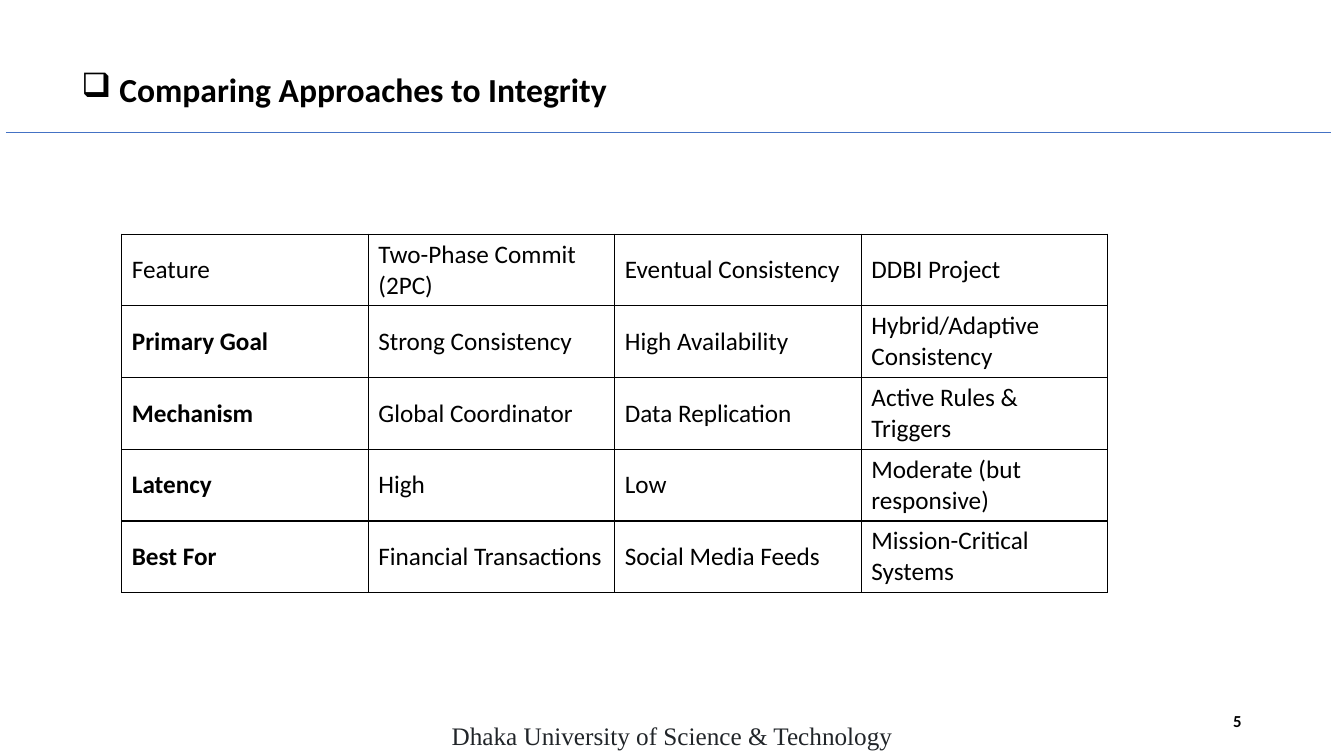
from lxml.etree import SubElement
from pptx import Presentation
from pptx.dml.color import RGBColor
from pptx.enum.shapes import MSO_CONNECTOR
from pptx.enum.text import MSO_ANCHOR, MSO_AUTO_SIZE, PP_ALIGN
from pptx.oxml import parse_xml
from pptx.oxml.ns import nsdecls, qn
from pptx.util import Pt

BLACK = RGBColor(0x00, 0x00, 0x00)
CHARCOAL = RGBColor(0x21, 0x25, 0x29)
BLUE = RGBColor(0x44, 0x72, 0xC4)

COMPARISON = [
    ["Feature", "Two-Phase Commit (2PC)", "Eventual Consistency", "DDBI Project"],
    ["Primary Goal", "Strong Consistency", "High Availability", "Hybrid/Adaptive Consistency"],
    ["Mechanism", "Global Coordinator", "Data Replication", "Active Rules & Triggers"],
    ["Latency", "High", "Low", "Moderate (but responsive)"],
    ["Best For", "Financial Transactions", "Social Media Feeds", "Mission-Critical Systems"],
]


class SlideBuilder:
    """Holds the text style and the current slide; lengths are in points."""

    font_name = "Calibri"
    font_color = BLACK

    def __init__(self, page):
        self.page = page

    def add_span(self, para, text, size, bold=False, color=None, font=None):
        span = para.add_run()
        span.text = text
        span.font.name = font or self.font_name
        span.font.size = Pt(size)
        span.font.bold = bold
        span.font.color.rgb = color or self.font_color
        return span

    def title(self, text, left, top, width, height, bullet, indent):
        box = self.page.shapes.title
        box.left, box.top, box.width, box.height = map(Pt, (left, top, width, height))
        frame = box.text_frame
        frame.word_wrap = True
        frame.auto_size = MSO_AUTO_SIZE.NONE
        frame.vertical_anchor = MSO_ANCHOR.MIDDLE
        para = frame.paragraphs[0]
        properties = para._p.get_or_add_pPr()
        properties.set("marL", str(Pt(indent)))
        properties.set("indent", str(-Pt(indent)))
        SubElement(properties, qn("a:buChar")).set("char", bullet)
        para.alignment = PP_ALIGN.LEFT
        para.line_spacing = 0.9
        self.add_span(para, text, 24, bold=True)

    def text(self, text, left, top, width, height, size, align,
             anchor=MSO_ANCHOR.TOP, spacing=None, **style):
        box = self.page.shapes.add_textbox(*map(Pt, (left, top, width, height)))
        frame = box.text_frame
        frame.word_wrap = True
        frame.vertical_anchor = anchor
        para = frame.paragraphs[0]
        para.alignment = align
        span = self.add_span(para, text, size, **style)
        if spacing:
            span.font._element.set("spc", str(round(spacing * 100)))

    def rule(self, left, right, top, color, weight):
        line = self.page.shapes.add_connector(
            MSO_CONNECTOR.STRAIGHT, Pt(left), Pt(top), Pt(right), Pt(top))
        line.line.color.rgb = color
        line.line.width = Pt(weight)
        SubElement(line._element.spPr, qn("a:effectLst"))

    def table(self, rows, left, top, column_width, row_height, size):
        row_count, column_count = len(rows), len(rows[0])
        table = self.page.shapes.add_table(
            row_count, column_count, Pt(left), Pt(top),
            Pt(column_width * column_count), Pt(row_height * row_count)).table
        table.first_row = table.horz_banding = False
        for column in table.columns:
            column.width = Pt(column_width)
        for row_index, row in enumerate(rows):
            table.rows[row_index].height = Pt(row_height)
            for column_index, text in enumerate(row):
                cell = table.cell(row_index, column_index)
                cell.fill.background()
                cell.vertical_anchor = MSO_ANCHOR.MIDDLE
                self.cell_borders(cell, BLACK, 1)
                self.add_span(cell.text_frame.paragraphs[0], text, size,
                              bold=row_index > 0 and column_index == 0)

    def cell_borders(self, cell, color, weight):
        # Border elements come before the fill
        properties = cell._tc.get_or_add_tcPr()
        for index, side in enumerate(("lnL", "lnR", "lnT", "lnB")):
            properties.insert(index, parse_xml(
                f'<a:{side} {nsdecls("a")} w="{Pt(weight)}"><a:solidFill>'
                f'<a:srgbClr val="{color}"/></a:solidFill></a:{side}>'))


def main():
    deck = Presentation()
    deck.slide_width, deck.slide_height = Pt(960), Pt(540)
    builder = SlideBuilder(deck.slides.add_slide(deck.slide_layouts[5]))

    # Heading and rule
    builder.title("Comparing Approaches to Integrity", 51, 36, 741, 59,
                  bullet="❑", indent=27)
    builder.rule(4.3, 951, 94.5, BLUE, 0.5)

    # Comparison table
    builder.table(COMPARISON, 87, 167.3, column_width=176.1, row_height=51.2, size=18)

    # Page number and footer
    builder.text("5", 678, 500.5, 216, 29, 12, PP_ALIGN.RIGHT,
                 anchor=MSO_ANCHOR.MIDDLE, spacing=0.5, bold=True)
    builder.text("Dhaka University of Science & Technology", 240, 511, 480, 29, 18,
                 PP_ALIGN.CENTER, color=CHARCOAL, font="Times New Roman")

    deck.save("out.pptx")


if __name__ == "__main__":
    main()
